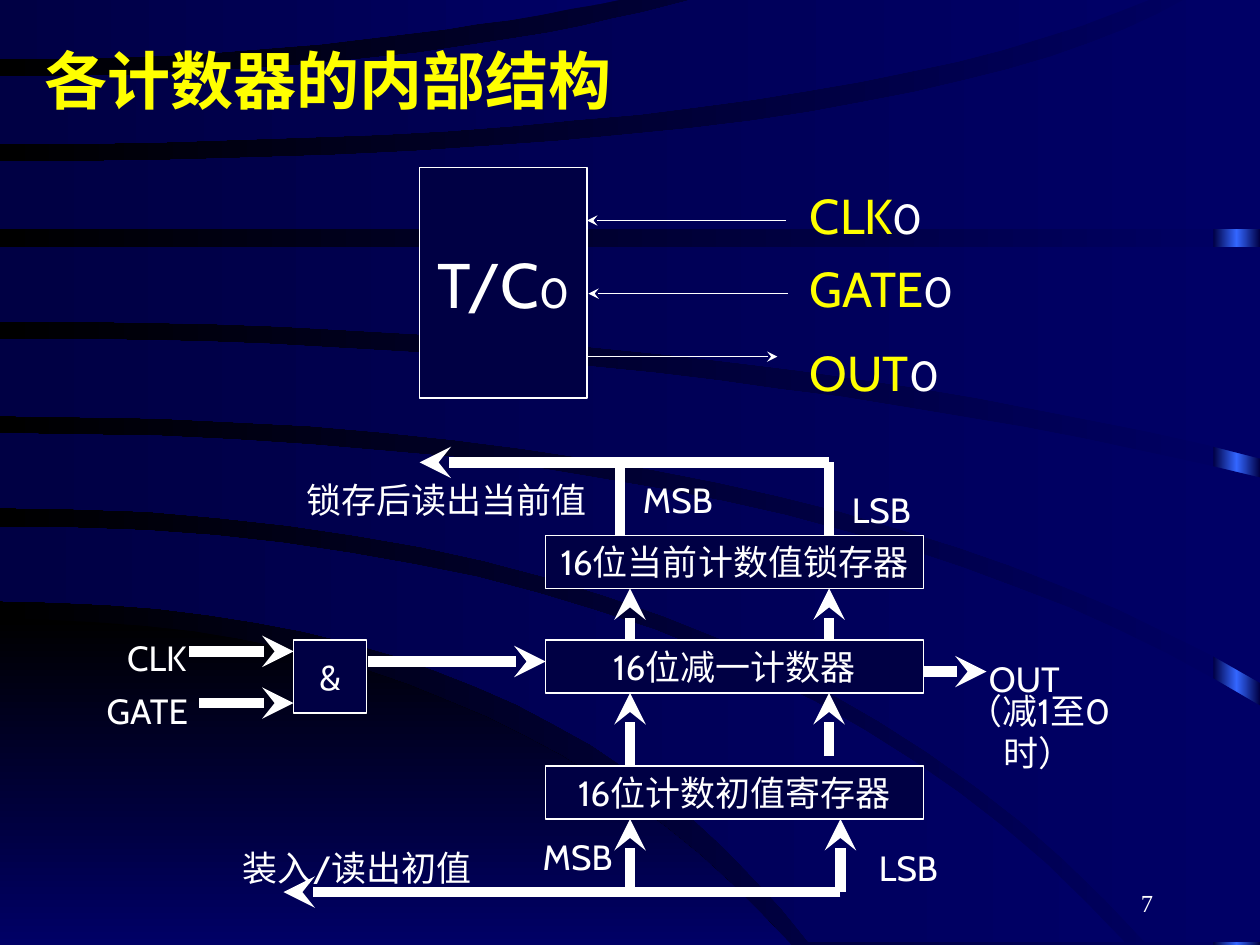
from copy import deepcopy

from lxml import etree
from pptx import Presentation
from pptx import util as u
from pptx.dml import color
from pptx.enum import shapes, text
from pptx.oxml import ns

SCALE = 9144  # EMU in one px, 100 px to the inch
WHITE, YELLOW, NAVY, BLUE, BLACK = "FFFFFF", "FFFF00", "000044", "000066", "000000"
LEFT, CENTER, RIGHT = text.PP_ALIGN.LEFT, text.PP_ALIGN.CENTER, text.PP_ALIGN.RIGHT
THIN, THICK = 0.75, 6

# Upper and lower edge of each band: start y, x where it bends, end x, end y
CORNER = (491, 396, 628, 750), (750, 300, 628, 750)
BANDS = [
    ((418, 593, 893, 748), (477, 435, 642, 748)),
    ((344, 650, 1000, 560), (403, 600, 909, 748)),
    ((269, 540, 1000, 379), (330, 640, 1000, 542)),
    ((196, 500, 1000, 196), (255, 570, 1000, 364)),
    ((128, 720, 943, -2), (182, 500, 1000, 182)),
    ((61, 330, 556, -2), (114, 650, 917, -2)),
    ((-2, 250, 501, -2), (47, 260, 501, -2)),
]
STAGES = {425: "16位当前计数值锁存器", 508: "16位减一计数器", 608: "16位计数初值寄存器"}
LABELS = [  # left, top, width, words
    (83, 500, 83, "CLK"), (67, 542, 100, "GATE"), (767, 517, 92, "OUT"),
    (675, 667, 92, "LSB"), (417, 658, 83, "MSB"), (492, 375, 92, "MSB"), (658, 383, 83, "LSB"),
    (733, 542, 183, "（减1至0时）"), (175, 667, 217, "装入/读出初值"),
    (217, 375, 275, "锁存后读出当前值"),
]
SIGNALS = [(142, 117, "CLK"), (200, 167, "GATE"), (267, 142, "OUT")]  # top, width, name
ACROSS = [  # y, from x, to x
    (517, 150, 233), (558, 158, 233), (525, 292, 433), (533, 733, 783),
    (367, 492, 333), (708, 667, 225),
]
UPWARD = [  # x, from y, to y
    (500, 608, 550), (658, 600, 550), (500, 508, 467), (658, 508, 467),
    (500, 708, 650), (667, 708, 650),
]
PINS = [(175, 624, 466), (233, 625, 467), (283, 467, 617)]  # y, from x, to x


def px(*lengths):
    return [u.Emu(length * SCALE) for length in lengths]


def rgb(value):
    return color.RGBColor.from_string(value)


def set_all(target, **values):
    for name, value in values.items():
        setattr(target, name, value)


def fill_gradient(fill, angle, *colours):
    """Spread the colours evenly; the angle runs counter-clockwise."""
    fill.gradient()
    fill.gradient_angle = angle
    first = fill.gradient_stops[0]._gs
    for _ in colours[2:]:
        first.addnext(deepcopy(first))
    for index, (stop, value) in enumerate(zip(fill.gradient_stops, colours)):
        stop.color.rgb = rgb(value)
        stop.position = index / (len(colours) - 1)


def curve(start_y, bend_x, end_x, end_y, steps=20):
    """Points of a quadratic curve that leaves the left side level."""
    points = []
    for step in range(steps + 1):
        t = step / steps
        x = 2 * t * (1 - t) * bend_x + t * t * end_x
        points.append((round(x), round(start_y + t * t * (end_y - start_y))))
    return points


def add_band(page, upper, lower, angle, *colours):
    nearer, farther = sorted((upper[2:], lower[2:]))
    corner = (farther[0], nearer[1])
    points = curve(*upper) + [corner] + curve(*lower)[::-1]
    builder = page.shapes.build_freeform(*points[0], scale=SCALE)
    builder.add_line_segments(points[1:], close=True)
    band = builder.convert_to_shape()
    band.shadow.inherit = False
    band.line.fill.background()
    fill_gradient(band.fill, angle, *colours)


def add_stripe(page):
    stripe = page.shapes.add_shape(shapes.MSO_SHAPE.RECTANGLE, *px(963, 0, 37, 750))
    stripe.shadow.inherit = False
    stripe.line.fill.background()
    fill_gradient(stripe.fill, 180, NAVY, "3366FF", NAVY)


def write(shape, spans, align, anchor=text.MSO_ANCHOR.TOP, wrap=True, font="Cabin", bold=False):
    """Fill a shape with one paragraph of (words, size, colour) spans."""
    frame = shape.text_frame
    set_all(frame, word_wrap=wrap, vertical_anchor=anchor, auto_size=text.MSO_AUTO_SIZE.NONE)
    para = frame.paragraphs[0]
    para.alignment = align
    for words, size, colour in spans:
        span = para.add_run()
        span.text = words
        set_all(span.font, name=font, size=u.Pt(size), bold=bold)
        span.font.color.rgb = rgb(colour)


def add_box(page, *place, spans):
    box = page.shapes.add_shape(shapes.MSO_SHAPE.RECTANGLE, *px(*place))
    box.shadow.inherit = False
    box.fill.solid()
    box.fill.fore_color.rgb = rgb(NAVY)
    box.line.color.rgb = rgb(WHITE)
    box.line.width = u.Pt(THIN)
    write(box, [(*span, WHITE) for span in spans], CENTER, text.MSO_ANCHOR.MIDDLE, wrap=False)


def add_label(page, *place, spans, align=CENTER, **options):
    write(page.shapes.add_textbox(*px(*place)), spans, align, **options)


def add_line(page, *ends, weight=THICK, arrow=True):
    line = page.shapes.add_connector(shapes.MSO_CONNECTOR.STRAIGHT, *px(*ends))
    line.line.color.rgb = rgb(WHITE)
    line.line.width = u.Pt(weight)
    if arrow:
        etree.SubElement(line.line._get_or_add_ln(), ns.qn("a:tailEnd"), type="stealth")
    etree.SubElement(line._element.spPr, ns.qn("a:effectLst"))


def add_title(page, words):
    title = page.shapes.title
    page.shapes._spTree.append(title._element)  # in front of the bands
    left, top, width, height = px(25, 17, 783, 92)
    set_all(title, left=left, top=top, width=width, height=height)
    write(title, [(words, 36, YELLOW)], LEFT, text.MSO_ANCHOR.MIDDLE, bold=True)


def add_background(page):
    fill_gradient(page.background.fill, 180, BLUE, BLACK)
    add_stripe(page)
    add_band(page, *CORNER, 270, BLACK, BLUE)
    for upper, lower in BANDS:
        add_band(page, upper, lower, 180, BLUE, NAVY)


def add_lines(page):
    for y, start, end in ACROSS:
        add_line(page, start, y, end, y)
    for x, start, end in UPWARD:
        add_line(page, x, start, x, end)
    for y, start, end in PINS:
        add_line(page, start, y, end, y, weight=THIN)
    for x in (492, 658):
        add_line(page, x, 425, x, 367, arrow=False)
    add_line(page, 492, 367, 658, 367, arrow=False)


def main():
    deck = Presentation()
    deck.slide_width, deck.slide_height = px(1000, 750)
    page = deck.slides.add_slide(deck.slide_layouts[5])
    add_background(page)
    add_title(page, "各计数器的内部结构")
    for top, words in STAGES.items():
        add_box(page, 433, top, 300, 42, spans=[(words, 20)])
    add_box(page, 233, 508, 58, 58, spans=[("&", 20)])
    add_box(page, 333, 133, 133, 183, spans=[("T/C", 36), ("0", 24)])
    add_lines(page)
    for left, top, width, words in LABELS:
        add_label(page, left, top, width, 44, spans=[(words, 20, WHITE)])
    for top, width, name in SIGNALS:
        add_label(page, 633, top, width, 57, spans=[(name, 28, YELLOW), ("0", 24, WHITE)], align=LEFT)
    add_label(page, 717, 683, 208, 50, spans=[("7", 14, WHITE)], align=RIGHT,
              anchor=text.MSO_ANCHOR.BOTTOM, font="Times New Roman")
    deck.save("out.pptx")


if __name__ == "__main__":
    main()
